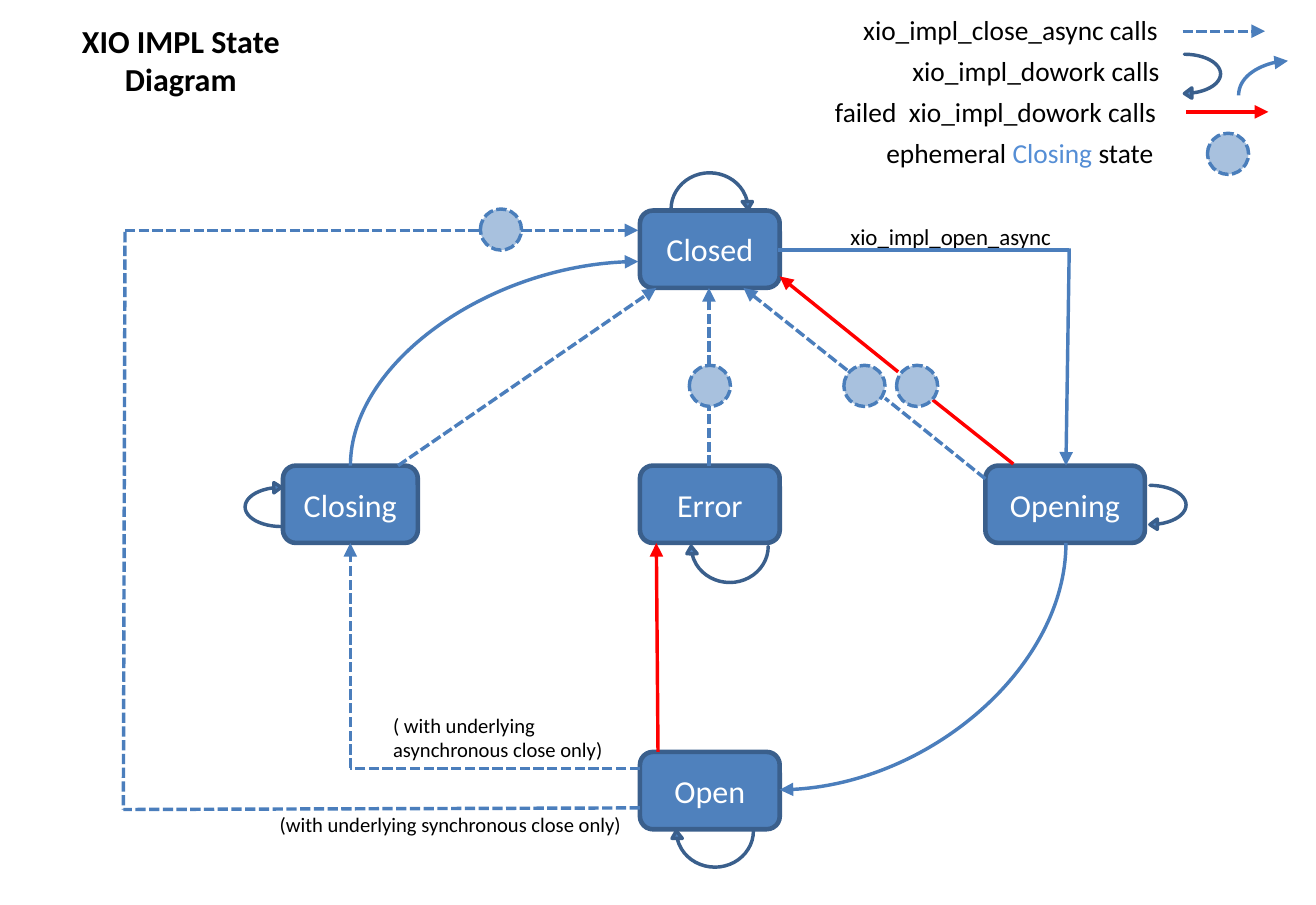
import dataclasses

import pptx
import pptx.dml.color
import pptx.enum.dml
import pptx.enum.shapes
import pptx.enum.text
import pptx.oxml
import pptx.oxml.ns
import pptx.util

Inches = pptx.util.Inches
SHAPE = pptx.enum.shapes.MSO_SHAPE
CONNECTOR = pptx.enum.shapes.MSO_CONNECTOR
ALIGN = pptx.enum.text.PP_ALIGN
ANCHOR = pptx.enum.text.MSO_ANCHOR
DASH = pptx.enum.dml.MSO_LINE.SQUARE_DOT


@dataclasses.dataclass(frozen=True)
class Theme:
    font: str = "Calibri"
    text: str = "000000"
    white: str = "FFFFFF"
    accent: str = "558ED5"
    fill: str = "4F81BD"
    border: str = "3A5F8C"
    ring: str = "4A7EBB"
    flow: str = "4B7EBC"
    fail: str = "FF0000"
    big: float = 14
    legend: float = 12
    label: float = 10
    note: float = 9
    thick: float = 2
    thin: float = 1.5


T = Theme()


def rgb(color):
    return pptx.dml.color.RGBColor.from_string(color)


def apply(obj, values):
    for name, value in values.items():
        setattr(obj, name, value)


def set_line(line, color, width=T.thin, dash=None):
    line.color.rgb = rgb(color)
    apply(line, {"width": pptx.util.Pt(width), "dash_style": dash})


def add_run(p, text, size, color=T.text, bold=False):
    r = p.add_run()
    r.text = text
    apply(r.font, {"name": T.font, "size": pptx.util.Pt(size), "bold": bold})
    r.font.color.rgb = rgb(color)


def add_shape(s, kind, box, border, width=T.thin, dash=None):
    sp = s.shapes.add_shape(kind, *map(Inches, box))
    sp.shadow.inherit = False
    sp.fill.solid()
    sp.fill.fore_color.rgb = rgb(T.fill)
    set_line(sp.line, border, width, dash)
    return sp


def add_state(s, text, box):
    sp = add_shape(s, SHAPE.ROUNDED_RECTANGLE, box, T.border, T.thick)
    sp.text_frame.vertical_anchor = ANCHOR.MIDDLE
    p = sp.text_frame.paragraphs[0]
    p.alignment = ALIGN.CENTER
    add_run(p, text, T.big, T.white)


def add_loop(s, left, top, height, rotation):
    sp = add_shape(s, SHAPE.CURVED_LEFT_ARROW, (left, top, 0.22, height), T.border)
    sp.rotation = rotation
    for i, value in enumerate((0, 0.286, 0.207)):
        sp.adjustments[i] = value


def add_closing_dot(s, left, top):
    sp = add_shape(s, SHAPE.OVAL, (left, top, 0.25, 0.25), T.ring, dash=DASH)
    color = sp._element.spPr.find(".//" + pptx.oxml.ns.qn("a:srgbClr"))
    alpha = pptx.oxml.parse_xml(f'<a:alpha {pptx.oxml.ns.nsdecls("a")} val="49000"/>')
    color.append(alpha)


def add_text(s, box, runs, size, align=ALIGN.LEFT, wrap=False, bold=False,
             inset=(0.15, 0.08)):
    tf = s.shapes.add_textbox(*map(Inches, box)).text_frame
    dx, dy = map(Inches, inset)
    apply(tf, {"word_wrap": wrap, "margin_left": dx, "margin_right": dx,
               "margin_top": dy, "margin_bottom": dy,
               "auto_size": pptx.enum.text.MSO_AUTO_SIZE.SHAPE_TO_FIT_TEXT})
    p = tf.paragraphs[0]
    p.alignment = align
    for text, color in runs:
        add_run(p, text, size, color, bold)


def add_line(s, start, end, color=T.flow, dash=None, arrow=True,
             kind=CONNECTOR.STRAIGHT):
    cxn = s.shapes.add_connector(kind, *map(Inches, (*start, *end)))
    set_line(cxn.line, color, dash=dash)
    ns = pptx.oxml.ns.nsdecls("a")
    if arrow:
        cxn.line._get_or_add_ln().append(
            pptx.oxml.parse_xml(f'<a:tailEnd {ns} type="triangle"/>'))
    cxn._element.spPr.append(pptx.oxml.parse_xml(f"<a:effectLst {ns}/>"))
    return cxn


def add_curve(s, start, end):
    """Quarter curve that leaves vertically: a two-point curve turned by 90 degrees."""
    (x1, y1), (x2, y2) = start, end
    cx, cy = (x1 + x2) / 2, (y1 + y2) / 2
    dx, dy = (x2 - x1) / 2, (y2 - y1) / 2
    cxn = add_line(s, (cx - dy, cy + dx), (cx + dy, cy - dx), kind=CONNECTOR.CURVE)
    spPr = cxn._element.spPr
    spPr.find(pptx.oxml.ns.qn("a:prstGeom")).set("prst", "curvedConnector2")
    spPr.find(pptx.oxml.ns.qn("a:xfrm")).set("rot", "5400000")


def main():
    prs = pptx.Presentation()
    apply(prs, {"slide_width": Inches(8), "slide_height": Inches(5.5)})
    s = prs.slides.add_slide(prs.slide_layouts[6])

    # Title and transition labels
    add_text(s, (0.17, 0.08, 1.86, 0.57), [("XIO IMPL State Diagram", T.text)], T.big,
             ALIGN.CENTER, wrap=True, bold=True, inset=(0.1, 0.05))
    add_text(s, (2.24, 4.25, 1.63, 0.46),
             [("( with underlying asynchronous close only)", T.text)], T.note, wrap=True)
    add_text(s, (1.55, 4.86, 2.41, 0.3),
             [("(with underlying synchronous close only)", T.text)], T.note)
    add_text(s, (5.02, 1.27, 1.54, 0.32), [("xio_impl_open_async", T.text)], T.label)

    # Legend texts, right aligned
    legend = [
        (5.07, 2.12, [("xio_impl_close_async calls", T.text)]),
        (5.37, 1.83, [("xio_impl_dowork calls", T.text)]),
        (4.9, 2.28, [("failed  xio_impl_dowork calls", T.text)]),
        (5.14, 2.02, [("ephemeral", T.text), (" Closing ", T.accent), ("state", T.text)]),
    ]
    for row, (left, width, runs) in enumerate(legend):
        add_text(s, (left, 0.25 * row, width, 0.36), runs, T.legend, ALIGN.RIGHT)

    # States
    for text, left, top, width in [
        ("Closed", 3.89, 1.28, 0.85), ("Closing", 1.72, 2.83, 0.82),
        ("Error", 3.89, 2.83, 0.85), ("Opening", 5.99, 2.83, 0.97),
        ("Open", 3.89, 4.57, 0.85),
    ]:
        add_state(s, text, (left, top, width, 0.47))

    # Close calls: dashed, with an arrowhead on the last segment
    for start, end, arrow in [
        ((3.89, 4.67), (2.13, 4.67), False), ((2.13, 4.67), (2.13, 3.3), True),
        ((3.89, 4.91), (0.75, 4.92), False), ((0.76, 1.41), (0.75, 4.92), False),
        ((0.76, 1.4), (2.92, 1.4), False), ((3.17, 1.4), (3.88, 1.4), True),
        ((4.31, 2.83), (4.31, 2.47), False), ((4.31, 2.22), (4.31, 1.75), True),
        ((5.99, 2.91), (5.38, 2.42), False), ((5.15, 2.25), (4.52, 1.75), True),
        ((2.42, 2.83), (3.99, 1.75), True), ((7.19, 0.19), (7.69, 0.19), True),
    ]:
        add_line(s, start, end, dash=DASH, arrow=arrow)

    # Open call
    add_line(s, (4.73, 1.52), (6.5, 1.52), arrow=False)
    add_line(s, (6.5, 1.51), (6.48, 2.83))

    # Failed calls
    for start, end, arrow in [
        ((6.16, 2.82), (5.67, 2.43), False), ((5.46, 2.26), (4.74, 1.68), True),
        ((4, 4.57), (3.99, 3.3), True), ((7.21, 0.68), (7.71, 0.68), True),
    ]:
        add_line(s, start, end, T.fail, arrow=arrow)

    # Dowork calls: curves between states and loops on one state
    for start, end in [((6.48, 3.3), (4.74, 4.8)), ((2.13, 2.83), (3.88, 1.59)),
                       ((7.53, 0.58), (7.83, 0.37))]:
        add_curve(s, start, end)
    for loop in [(7.2, 0.33, 0.27, 0), (6.99, 2.95, 0.27, 0), (1.49, 2.93, 0.27, 180),
                 (4.22, 4.91, 0.5, 90), (4.31, 3.18, 0.5, 90), (4.22, 0.91, 0.5, 270)]:
        add_loop(s, *loop)

    # Ephemeral closing states
    for left, top in [(2.92, 1.27), (7.34, 0.81), (4.19, 2.22), (5.13, 2.22), (5.45, 2.22)]:
        add_closing_dot(s, left, top)

    prs.save("out.pptx")


if __name__ == "__main__":
    main()
